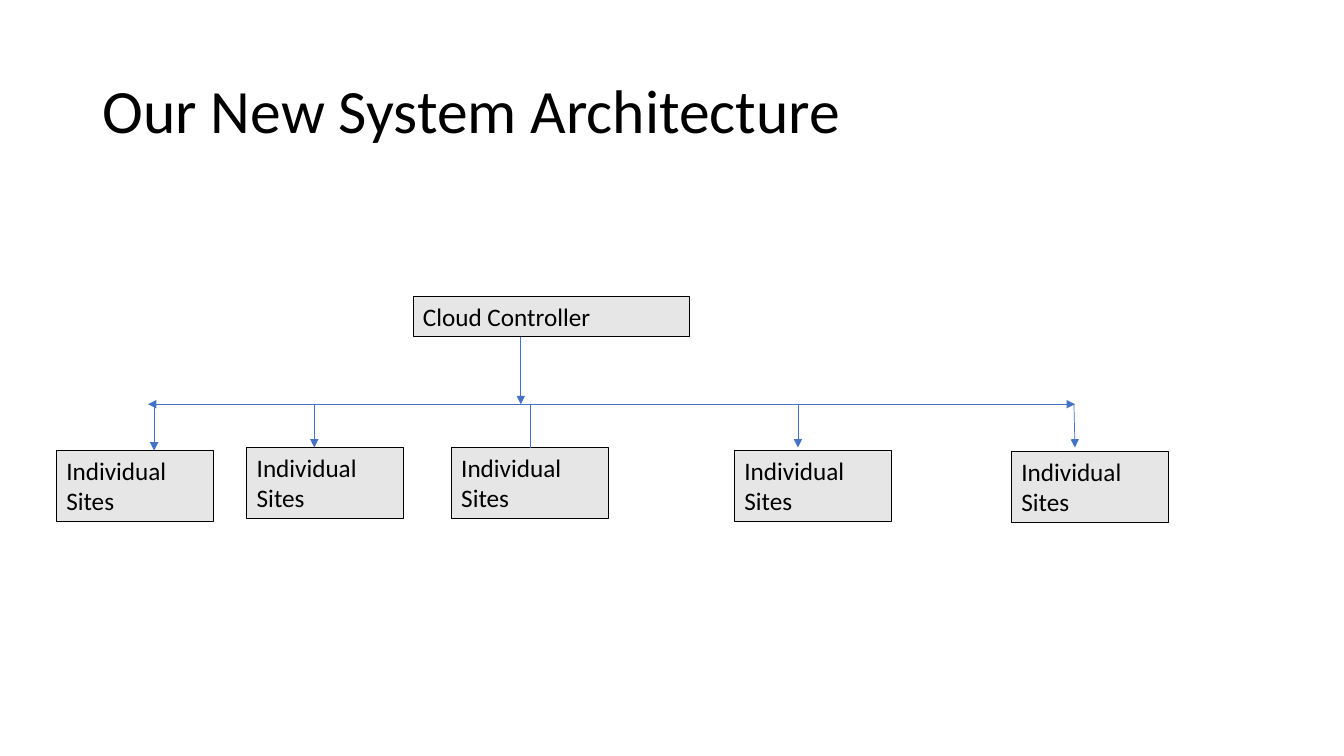
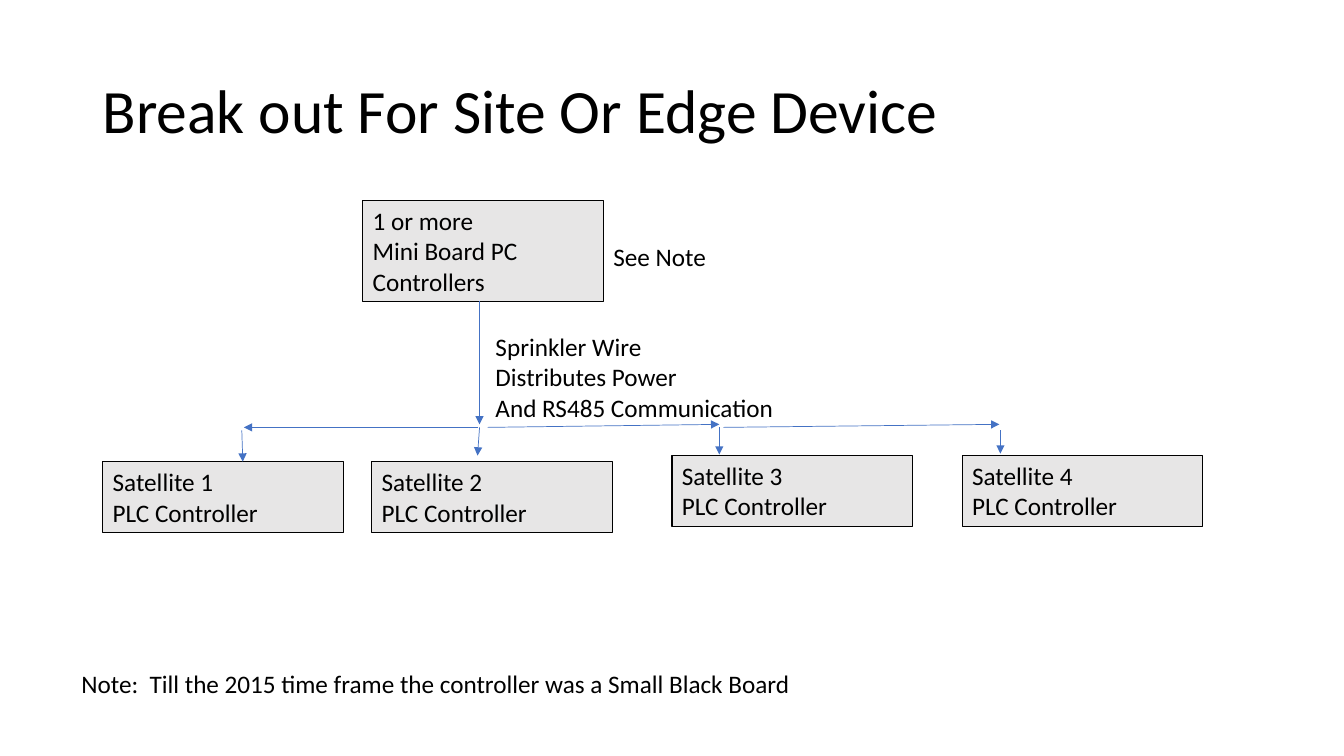
from dataclasses import dataclass

from lxml import etree
from pptx import Presentation
from pptx import util as u
from pptx.dml.color import RGBColor
from pptx.enum import shapes, text
from pptx.oxml import ns

EMU_PER_PX = 9144
FONT = "Calibri"
COLORS = {"ink": "000000", "box": "E7E6E6", "wire": "4472C4"}
BODY_PT = 18
TITLE_PT = 44
LINE_PX = 30
PADDING_PX = 10


@dataclass(frozen=True)
class Device:
    left: int
    top: int
    width: int
    lines: tuple[str, ...]

    @property
    def height(self) -> int:
        return PADDING_PX + LINE_PX * len(self.lines)


@dataclass(frozen=True)
class Label(Device):
    wraps: bool = False


@dataclass(frozen=True)
class Wire:
    x1: int
    y1: int
    x2: int
    y2: int
    arrow: bool = True


def px(length: int) -> u.Emu:
    return u.Emu(length * EMU_PER_PX)


def color(name: str) -> RGBColor:
    return RGBColor.from_string(COLORS[name])


def write_lines(frame, lines: tuple[str, ...], size: int = BODY_PT) -> None:
    frame.text = "\n".join(lines)
    for paragraph in frame.paragraphs:
        paragraph.alignment = text.PP_ALIGN.LEFT
        paragraph.font.name = FONT
        paragraph.font.size = u.Pt(size)
        paragraph.font.color.rgb = color("ink")


def add_title(slide, title: str) -> None:
    frame = slide.shapes.add_textbox(px(92), px(40), px(1150), px(145)).text_frame
    frame.word_wrap = True
    frame.vertical_anchor = text.MSO_ANCHOR.MIDDLE
    write_lines(frame, (title,), TITLE_PT)
    frame.paragraphs[0].line_spacing = 0.9


def add_device(slide, device: Device) -> None:
    box = slide.shapes.add_shape(
        shapes.MSO_SHAPE.RECTANGLE,
        px(device.left), px(device.top), px(device.width), px(device.height),
    )
    box.shadow.inherit = False
    box.fill.solid()
    box.fill.fore_color.rgb = color("box")
    box.line.color.rgb = color("ink")
    box.line.width = u.Pt(0.75)
    box.text_frame.word_wrap = True
    box.text_frame.vertical_anchor = text.MSO_ANCHOR.TOP
    write_lines(box.text_frame, device.lines)


def add_label(slide, label: Label) -> None:
    frame = slide.shapes.add_textbox(
        px(label.left), px(label.top), px(label.width), px(label.height)
    ).text_frame
    frame.word_wrap = label.wraps
    frame.auto_size = text.MSO_AUTO_SIZE.SHAPE_TO_FIT_TEXT
    write_lines(frame, label.lines)


def add_wire(slide, wire: Wire) -> None:
    connector = slide.shapes.add_connector(
        shapes.MSO_CONNECTOR.STRAIGHT,
        px(wire.x1), px(wire.y1), px(wire.x2), px(wire.y2),
    )
    connector.line.color.rgb = color("wire")
    connector.line.width = u.Pt(0.5)
    if wire.arrow:
        outline = connector.line._get_or_add_ln()
        etree.SubElement(outline, ns.qn("a:tailEnd"), type="triangle")
    etree.SubElement(connector._element.spPr, ns.qn("a:effectLst"))


def add_diagram(
    deck, title: str, devices: list[Device], wires: list[Wire], labels: list[Label]
) -> None:
    slide = deck.slides.add_slide(deck.slide_layouts[6])
    add_title(slide, title)
    for device in devices:
        add_device(slide, device)
    for wire in wires:
        add_wire(slide, wire)
    for label in labels:
        add_label(slide, label)


def add_architecture(deck) -> None:
    trunk_x, bus_y = 517, 401
    site_corners = [(56, 447), (245, 444), (448, 444), (729, 447), (1004, 448)]
    cloud = Device(410, 294, 274, ("Cloud Controller",))
    sites = [Device(x, y, 156, ("Individual", "Sites")) for x, y in site_corners]
    trunk = Wire(trunk_x, cloud.top + cloud.height, trunk_x, bus_y)
    bus = [Wire(trunk_x, bus_y, end, bus_y) for end in (147, 1067)]
    drops = [
        Wire(153, bus_y, 153, 447),
        Wire(312, bus_y, 312, 444),
        Wire(526, bus_y, 526, 444, arrow=False),
        Wire(792, bus_y, 792, 444),
        Wire(1066, bus_y, 1067, 444),
    ]
    add_diagram(
        deck, "Our New System Architecture", [cloud, *sites], [trunk, *bus, *drops], []
    )


def add_site_breakout(deck) -> None:
    satellite_corners = [(102, 458), (369, 458), (667, 452), (955, 452)]
    controllers = Device(360, 199, 239, ("1 or more", "Mini Board PC", "Controllers"))
    satellites = [
        Device(x, y, 239, (f"Satellite {number}", "PLC Controller"))
        for number, (x, y) in enumerate(satellite_corners, 1)
    ]
    trunk = Wire(476, controllers.top + controllers.height, 476, 421)
    bus = [
        Wire(474, 424, 242, 424),
        Wire(484, 424, 714, 421),
        Wire(718, 424, 992, 421),
    ]
    drops = [
        Wire(240, 427, 241, 458),
        Wire(476, 424, 474, 452),
        Wire(714, 424, 714, 451),
        Wire(993, 427, 993, 450),
    ]
    labels = [
        Label(
            482, 324, 296,
            ("Sprinkler Wire", "Distributes Power", "And RS485 Communication"),
        ),
        Label(599, 234, 168, ("See Note",), wraps=True),
        Label(
            71, 658, 730,
            ("Note:  Till the 2015 time frame the controller was a Small Black Board",),
        ),
    ]
    add_diagram(
        deck,
        "Break out For Site Or Edge Device",
        [controllers, *satellites],
        [trunk, *bus, *drops],
        labels,
    )


def main() -> None:
    deck = Presentation()
    deck.slide_width, deck.slide_height = px(1334), px(750)
    add_architecture(deck)
    add_site_breakout(deck)
    deck.save("out.pptx")


if __name__ == "__main__":
    main()
